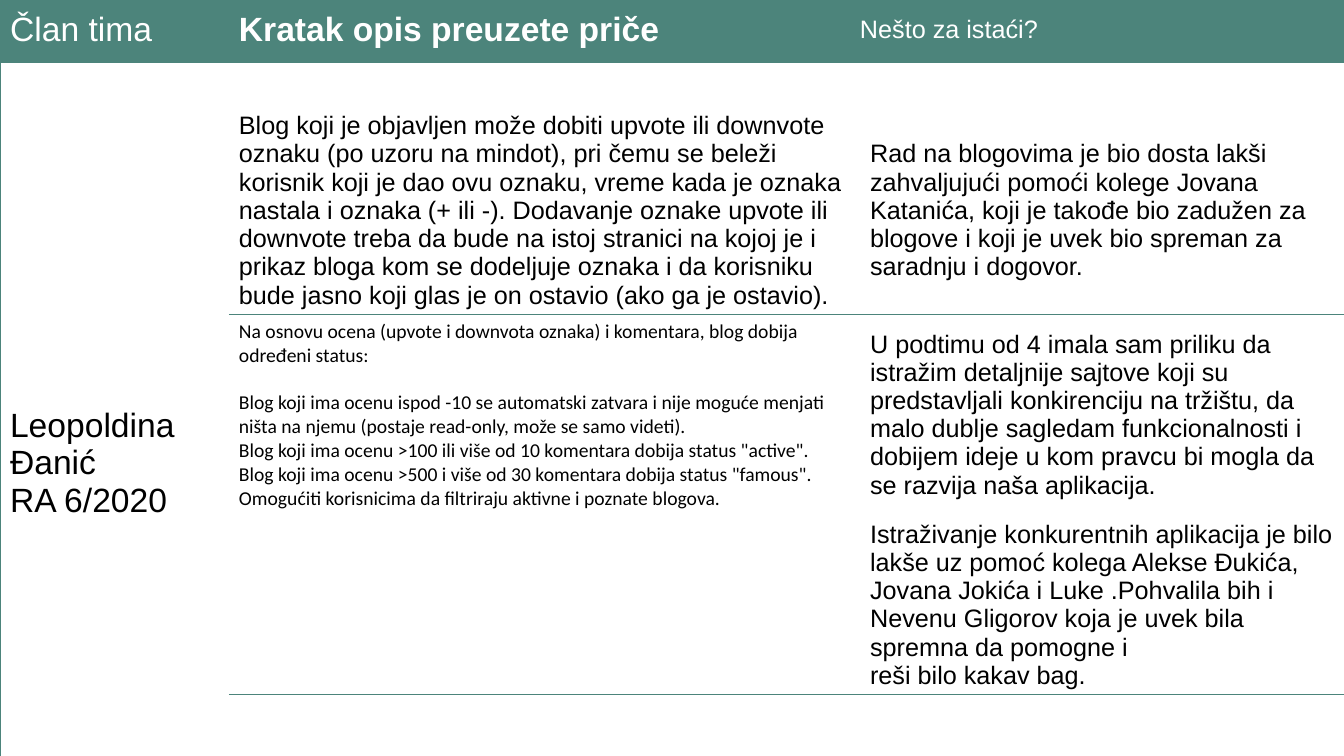
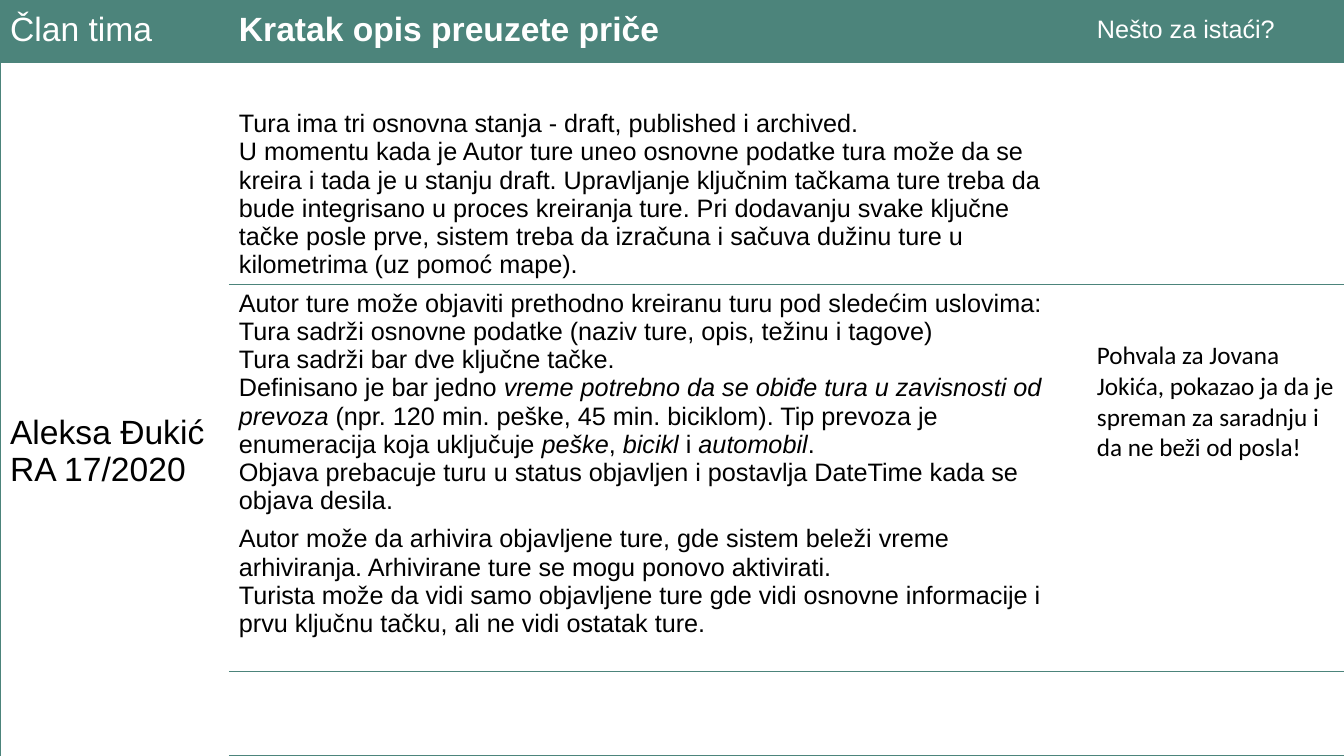
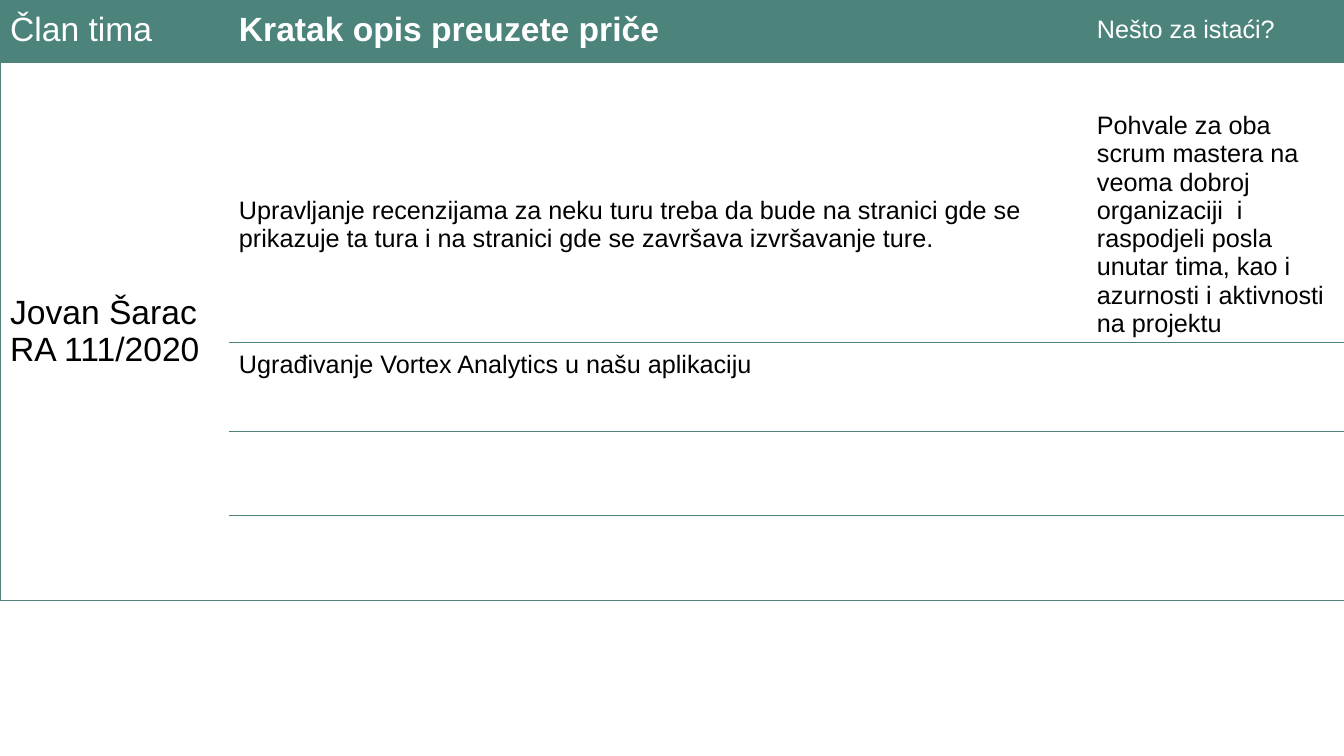
import pptx
import pptx.dml.color
import pptx.enum.text
import pptx.oxml.ns
import pptx.util
from lxml import etree

Inches = pptx.util.Inches
Pt = pptx.util.Pt
RGBColor = pptx.dml.color.RGBColor
ANCHOR = pptx.enum.text.MSO_ANCHOR

GREEN = RGBColor(0x4C, 0x84, 0x7B)
WHITE = RGBColor(0xFF, 0xFF, 0xFF)
BLACK = RGBColor(0, 0, 0)

BLOCK = 8  # rows that belong to one team member
BODY = {"size": Pt(18), "name": "Arial", "bold": False}
NAME = {**BODY, "size": Pt(24)}
NOTE = {**BODY, "name": "Calibri"}
SMALL = {**NOTE, "size": Pt(14)}
HEADS = [
    ("Član tima", NAME),
    ("Kratak opis preuzete priče", {**NAME, "bold": True}),
    ("Nešto za istaći?", BODY),
]

WIDE = [2.27, 8.51, 2.57]
EVEN = [2.27, 6.26, 4.82]

BLOGS = {
    (1, 0): (["Leopoldina Đanić", "RA 6/2020"], NAME),
    (2, 1): (["Blog koji je objavljen može dobiti upvote ili downvote oznaku "
              "(po uzoru na mindot), pri čemu se beleži korisnik koji je dao ovu "
              "oznaku, vreme kada je oznaka nastala i oznaka (+ ili -). Dodavanje "
              "oznake upvote ili downvote treba da bude na istoj stranici na kojoj "
              "je i prikaz bloga kom se dodeljuje oznaka i da korisniku bude jasno "
              "koji glas je on ostavio (ako ga je ostavio)."], BODY),
    (2, 2): (["Rad na blogovima je bio dosta lakši zahvaljujući pomoći kolege "
              "Jovana Katanića, koji je takođe bio zadužen za blogove i koji je "
              "uvek bio spreman za saradnju i dogovor."], BODY),
    (3, 1): (["Na osnovu ocena (upvote i downvota oznaka) i komentara, blog "
              "dobija određeni status:",
              "Blog koji ima ocenu ispod -10 se automatski zatvara i nije moguće "
              "menjati ništa na njemu (postaje read-only, može se samo videti).",
              "Blog koji ima ocenu >100 ili više od 10 komentara dobija status "
              "\"active\".",
              "Blog koji ima ocenu >500 i više od 30 komentara dobija status "
              "\"famous\".",
              "Omogućiti korisnicima da filtriraju aktivne i poznate blogova."],
             SMALL),
    (3, 2): (["U podtimu od 4 imala sam priliku da istražim detaljnije sajtove "
              "koji su predstavljali konkirenciju na tržištu, da malo dublje "
              "sagledam funkcionalnosti i dobijem ideje u kom pravcu bi mogla da "
              "se razvija naša aplikacija."], BODY),
    (4, 2): (["Istraživanje konkurentnih aplikacija je bilo lakše uz pomoć kolega "
              "Alekse Đukića, Jovana Jokića i Luke .Pohvalila bih i Nevenu "
              "Gligorov koja je uvek bila spremna da pomogne i "
              "reši~bilo~kakav~bag."], BODY),
}

TOURS = {
    (1, 0): (["Aleksa Đukić", "RA 17/2020"], NAME),
    (2, 1): (["Tura ima tri osnovna stanja - draft, published i archived.",
              "U momentu kada je Autor ture uneo osnovne podatke tura može da se "
              "kreira i tada je u stanju draft. Upravljanje ključnim tačkama ture "
              "treba da bude integrisano u proces kreiranja ture. Pri dodavanju "
              "svake ključne tačke posle prve, sistem treba da izračuna i sačuva "
              "dužinu ture u kilometrima (uz pomoć mape)."], BODY),
    (3, 1): (["Autor ture može objaviti prethodno kreiranu turu pod sledećim "
              "uslovima:",
              "Tura sadrži osnovne podatke (naziv ture, opis, težinu i tagove)",
              "Tura sadrži bar dve ključne tačke.",
              "Definisano je bar jedno _vreme potrebno da se obiđe tura u "
              "zavisnosti od prevoza_ (npr. 120 min. peške, 45 min. biciklom). Tip "
              "prevoza je enumeracija koja uključuje _peške_, _bicikl _i "
              "_automobil_.",
              "Objava prebacuje turu u status objavljen i postavlja DateTime kada "
              "se objava desila."], BODY),
    (3, 2): (["Pohvala za Jovana Jokića, pokazao ja da je spreman za saradnju i "
              "da ne beži od posla!"], NOTE),
    (4, 1): (["Autor može da arhivira objavljene ture, gde sistem beleži vreme "
              "arhiviranja. Arhivirane ture se mogu ponovo aktivirati.",
              "Turista može da vidi samo objavljene ture gde vidi osnovne "
              "informacije i prvu ključnu tačku, ali ne vidi ostatak ture."], BODY),
}

RATES = {
    (1, 0): (["Jovan Šarac", "RA 111/2020"], NAME),
    (2, 1): (["Upravljanje recenzijama za neku turu treba da bude na stranici gde "
              "se prikazuje ta tura i na stranici gde se završava izvršavanje "
              "ture."], BODY),
    (2, 2): (["Pohvale za oba scrum mastera na veoma dobroj organizaciji  i "
              "raspodjeli posla unutar tima, kao i azurnosti i aktivnosti na "
              "projektu"], BODY),
    (3, 1): (["Ugrađivanje Vortex Analytics u našu aplikaciju"], BODY),
}


def write(cell, lines, form, color):
    """Fill a cell with paragraphs; _..._ marks italics, ~ a fixed space."""
    frame = cell.text_frame
    for i, line in enumerate(lines):
        para = frame.add_paragraph() if i else frame.paragraphs[0]
        for j, part in enumerate(line.replace("~", chr(160)).split("_")):
            run = para.add_run()
            run.text = part
            for key, value in form.items():
                setattr(run.font, key, value)
            run.font.italic = j % 2 == 1
            run.font.color.rgb = color


def edge(cell, sides):
    """Draw the named sides (of L, R, T, B) and clear the others."""
    props = cell._tc.get_or_add_tcPr()
    tag = pptx.oxml.ns.qn
    for side in "LRTB":
        line = etree.SubElement(props, tag("a:ln" + side), w=str(Pt(0.75)))
        if side in sides:
            fill = etree.SubElement(line, tag("a:solidFill"))
            etree.SubElement(fill, tag("a:srgbClr"), val=str(GREEN))
        else:
            etree.SubElement(line, tag("a:noFill"))


def find_sides(row, col):
    """Lines close each pair of rows, and each whole block in column 0."""
    sides = {0: "L", 1: "", 2: "R"}[col]
    step = 2 if col else BLOCK
    if row == 0 or row % step == 1:
        sides += "T"
    if row % step == 0 or (col == 0 and row % step == 1):
        sides += "B"
    return sides


def add_grid(deck, cols, highs, texts):
    slide = deck.slides.add_slide(deck.slide_layouts[6])
    frame = slide.shapes.add_table(len(highs), len(cols), Inches(0), Inches(-0.03),
                                   Inches(sum(cols)), Inches(sum(highs)))
    table = frame.table
    table.first_row = table.horz_banding = False
    for col, wide in zip(table.columns, cols):
        col.width = Inches(wide)
    for row, high in zip(table.rows, highs):
        row.height = Inches(high)
    for r in range(len(highs)):
        for c in range(len(cols)):
            cell = table.cell(r, c)
            cell.vertical_anchor = ANCHOR.MIDDLE
            edge(cell, find_sides(r, c))
            if r == 0:
                cell.fill.solid()
                cell.fill.fore_color.rgb = GREEN
                head, form = HEADS[c]
                write(cell, [head], form, WHITE)
            else:
                cell.fill.background()
    for (r, c), (lines, form) in texts.items():
        write(table.cell(r, c), lines, form, BLACK)
    for top in range(1, len(highs), BLOCK):
        table.cell(top, 0).merge(table.cell(top + BLOCK - 1, 0))
    return table


def main():
    deck = pptx.Presentation()
    deck.slide_width, deck.slide_height = Inches(13.33), Inches(7.5)

    blogs = add_grid(deck, EVEN, [0.65] + [0.44] * 4 + [0.42] * 12, BLOGS)
    blogs.cell(0, 2).margin_left = 0
    blogs.cell(3, 1).text_frame.paragraphs[0].space_after = Pt(17)

    tours = add_grid(deck, WIDE, [0.65] + [0.42] * 3 + [1.5] + [0.42] * 4, TOURS)
    tours.cell(4, 1).vertical_anchor = ANCHOR.TOP

    add_grid(deck, WIDE, [0.65] + [0.44] * 4 + [0.42] * 4, RATES)
    deck.save("out.pptx")


if __name__ == "__main__":
    main()
